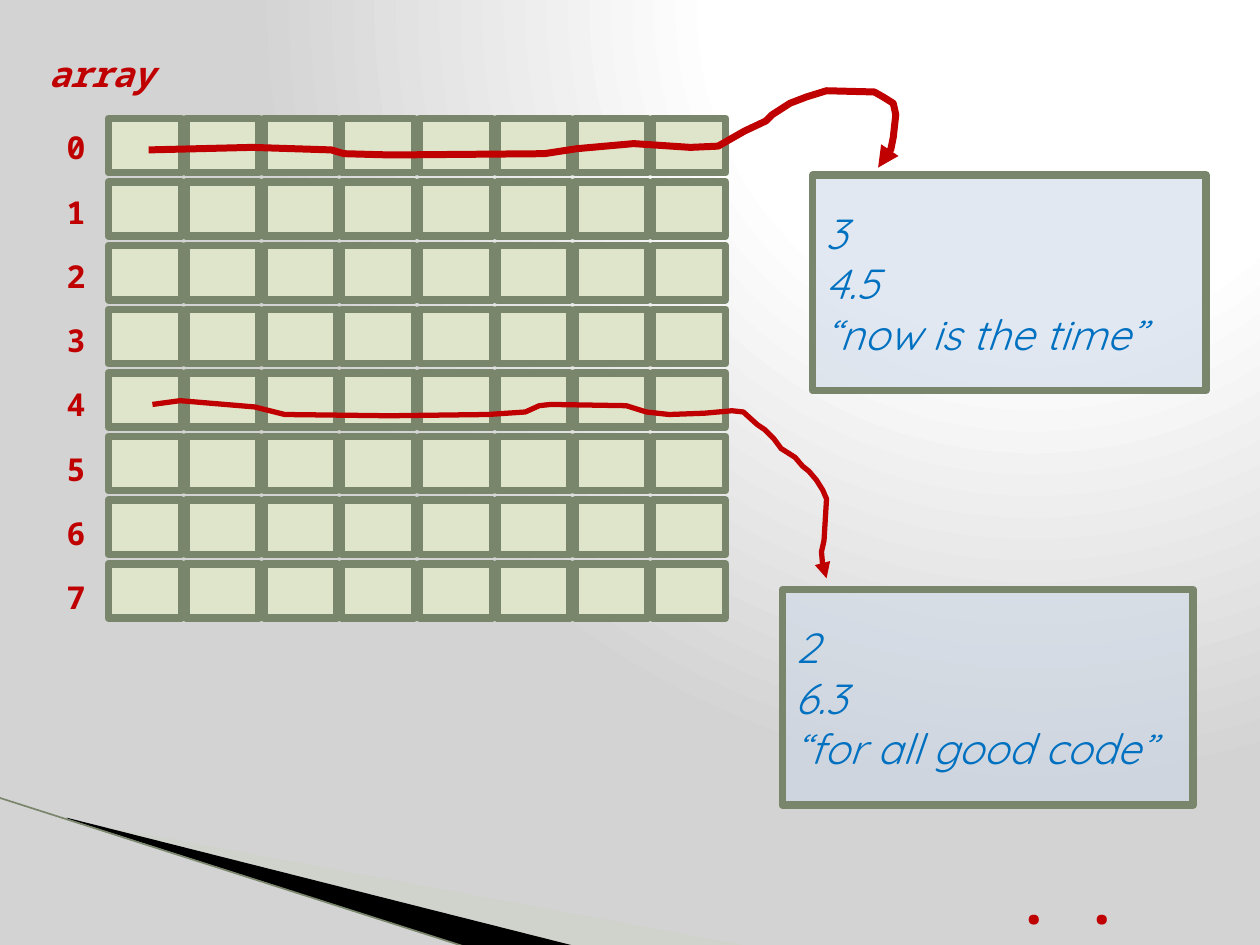
from dataclasses import dataclass

from lxml.etree import SubElement
from pptx import Presentation
from pptx.dml.color import RGBColor
from pptx.enum.shapes import MSO_CONNECTOR, MSO_SHAPE
from pptx.enum.text import MSO_ANCHOR, MSO_AUTO_SIZE, PP_ALIGN
from pptx.oxml import parse_xml
from pptx.oxml.ns import nsdecls, qn
from pptx.util import Emu, Inches, Pt

# The slide is a grid of 100 columns by 75 rows of square units.
COLUMNS, ROWS = 100, 75
WIDTH, HEIGHT = Inches(10), Inches(7.5)

CELL_COUNT = 8
CELL_LEFT, CELL_TOP = 8.6, 9.4
CELL_WIDTH, CELL_HEIGHT = 5.8, 4.3
CELL_STEP_X, CELL_STEP_Y = 6.17, 5.05
LABEL_LEFT, LABEL_TOP, LABEL_STEP = 4.3, 9.7, 5.1

FIRST_ROUTE = [
    (11.8, 11.9), (20, 11.7), (26.3, 11.9), (27.3, 12.2), (31, 12.3),
    (43.2, 12.2), (45.8, 11.8), (50.3, 11.4), (54.8, 11.7), (57, 11.6),
    (57.7, 11.2), (59.1, 10.4), (60.8, 9.6), (61.3, 9.1), (62.7, 8.2),
    (64, 7.7), (65.6, 7.2), (69.4, 7.3), (70.1, 7.7), (70.9, 8.2),
    (71.1, 9.1), (70.9, 10.9), (70.7, 11.9), (70, 12.4), (69.7, 13.3),
]
SECOND_ROUTE = [
    (12.1, 32.1), (14.3, 31.8), (20.2, 32.3), (22.6, 32.9), (30.9, 33),
    (38.7, 32.9), (41.7, 32.7), (42.8, 32.2), (43.7, 32.1), (49.7, 32.2),
    (51.3, 32.7), (53.1, 32.9), (55.9, 32.8), (58.1, 32.6), (59, 32.7),
    (60.1, 33.7), (60.7, 34.1), (61.4, 34.8), (62, 35.6), (63.1, 36.3),
    (63.7, 37), (64.2, 37.4), (64.8, 38.1), (65.3, 38.9), (65.6, 39.6),
    (65.4, 42.9), (65.2, 43.8), (65.3, 44.9), (65.6, 45.9),
]


@dataclass(frozen=True)
class Theme:
    """Colours, fonts and sizes used on the slide."""
    white: str = "FFFFFF"
    grey: str = "D3D3D3"
    black: str = "000000"
    sage: str = "CBD4C0"
    cell: str = "DFE5CA"
    border: str = "7A866C"
    panel: str = "CCD8E7"
    red: str = "C00000"
    blue: str = "0070C0"
    mono: str = "Noto Sans Mono"
    rounded: str = "Quicksand"
    label_size: int = 18
    title_size: int = 20
    panel_size: int = 24
    dots_size: int = 32
    border_width: float = 4.33


THEME = Theme()


def across(columns):
    """Turn grid columns into a length."""
    return Emu(round(WIDTH * columns / COLUMNS))


def down(rows):
    """Turn grid rows into a length."""
    return Emu(round(HEIGHT * rows / ROWS))


def place(left, top, width, height):
    """Turn a grid area into left, top, width and height."""
    return across(left), down(top), across(width), down(height)


def paint(shape, fill=None, opacity=100, line=None, line_width=1):
    """Set fill and line of a shape and switch its shadow off."""
    shape.shadow.inherit = False
    if fill:
        shape.fill.solid()
        shape.fill.fore_color.rgb = RGBColor.from_string(fill)
        if opacity < 100:
            color = shape.fill._xPr.find(".//" + qn("a:srgbClr"))
            SubElement(color, qn("a:alpha")).set("val", str(opacity * 1000))
    else:
        shape.fill.background()
    if line:
        shape.line.color.rgb = RGBColor.from_string(line)
        shape.line.width = Pt(line_width)
    else:
        shape.line.fill.background()


def write(box, text, *, font, size, color, bold=False, italic=False):
    """Write each line of text as a left-aligned paragraph."""
    frame = box.text_frame
    frame.word_wrap = True
    for index, words in enumerate(text.split("\n")):
        para = frame.add_paragraph() if index else frame.paragraphs[0]
        para.alignment = PP_ALIGN.LEFT
        span = para.add_run()
        span.text = words
        span.font.name = font
        span.font.size = Pt(size)
        span.font.bold = bold
        span.font.italic = italic
        span.font.color.rgb = RGBColor.from_string(color)


def add_label(page, text, area, size, italic=False):
    """Add a bold red monospaced label."""
    box = page.shapes.add_textbox(*place(*area))
    write(box, text, font=THEME.mono, size=size, color=THEME.red,
          bold=True, italic=italic)
    box.text_frame.auto_size = MSO_AUTO_SIZE.SHAPE_TO_FIT_TEXT


def add_outline(page, points, close=True):
    """Add a freeform through grid points."""
    corners = [(across(x), down(y)) for x, y in points]
    builder = page.shapes.build_freeform(*corners[0])
    builder.add_line_segments(corners[1:], close=close)
    return builder.convert_to_shape()


def add_route(page, points, width):
    """Add a red hand-drawn arrow."""
    route = add_outline(page, points, close=False)
    paint(route, line=THEME.red, line_width=width)
    SubElement(route.line._get_or_add_ln(), qn("a:tailEnd")).set("type", "triangle")


def add_cell_row(page, row):
    """Add one array row as a group of cells."""
    group = page.shapes.add_group_shape()
    for column in range(CELL_COUNT):
        cell = group.shapes.add_shape(MSO_SHAPE.RECTANGLE, *place(
            CELL_LEFT + column * CELL_STEP_X, CELL_TOP + row * CELL_STEP_Y,
            CELL_WIDTH, CELL_HEIGHT))
        paint(cell, THEME.cell, line=THEME.border, line_width=THEME.border_width)


def add_panel(page, text, area):
    """Add a translucent panel listing stored values."""
    panel = page.shapes.add_shape(MSO_SHAPE.RECTANGLE, *place(*area))
    paint(panel, THEME.panel, 58, THEME.border, THEME.border_width)
    panel.text_frame.vertical_anchor = MSO_ANCHOR.MIDDLE
    write(panel, text, font=THEME.rounded, size=THEME.panel_size,
          color=THEME.blue, italic=True)


def set_background(page):
    """Give the page a radial gradient that is brightest at top right."""
    page.background.fill.solid()
    properties = page.element.find(".//" + qn("p:bgPr"))
    stops = "".join(
        f'<a:gs pos="{position * 1000}"><a:srgbClr val="{color}"/></a:gs>'
        for position, color in ((0, THEME.white), (40, THEME.white), (100, THEME.grey)))
    properties.replace(properties[0], parse_xml(
        f'<a:gradFill {nsdecls("a")} rotWithShape="1"><a:gsLst>{stops}</a:gsLst>'
        '<a:path path="circle"><a:fillToRect l="65000" b="98000"/></a:path>'
        '</a:gradFill>'))


def add_corner(page):
    """Add the wedges and the thin line at bottom left."""
    pale = add_outline(page, [(5.5, 65.1), (59.5, 75.1), (45.6, 75.1), (5.5, 65)])
    paint(pale, THEME.sage, 40)
    dark = add_outline(page, [(5.3, 64.9), (45.7, 75.1), (37.2, 75.2), (5.4, 65)])
    paint(dark, THEME.black)
    edge = page.shapes.add_connector(
        MSO_CONNECTOR.STRAIGHT, across(-0.1), down(63.3), across(37.1), down(75.2))
    edge.line.color.rgb = RGBColor.from_string(THEME.border)
    edge.line.width = Pt(0.95)
    SubElement(edge.element.spPr, qn("a:effectLst"))


def main():
    """Build and save the slide."""
    deck = Presentation()
    deck.slide_width, deck.slide_height = WIDTH, HEIGHT
    page = deck.slides.add_slide(deck.slide_layouts[6])
    set_background(page)
    add_corner(page)
    add_label(page, "array", (2.9, 3.7, 11.1, 4.4), THEME.title_size, italic=True)
    add_label(page, ". . .", (79.8, 68.4, 13.4, 6.4), THEME.dots_size)
    for row in range(CELL_COUNT):
        add_cell_row(page, row)
        add_label(page, str(row), (LABEL_LEFT, LABEL_TOP + row * LABEL_STEP, 5, 4),
                  THEME.label_size)
    add_panel(page, "3\n4.5\n“now is the time”", (64.5, 13.9, 31.2, 17.1))
    add_panel(page, "2\n6.3\n“for all good code”", (62.1, 46.8, 32.6, 17.1))
    add_route(page, FIRST_ROUTE, 4)
    add_route(page, SECOND_ROUTE, 3)
    deck.save("out.pptx")


main()
